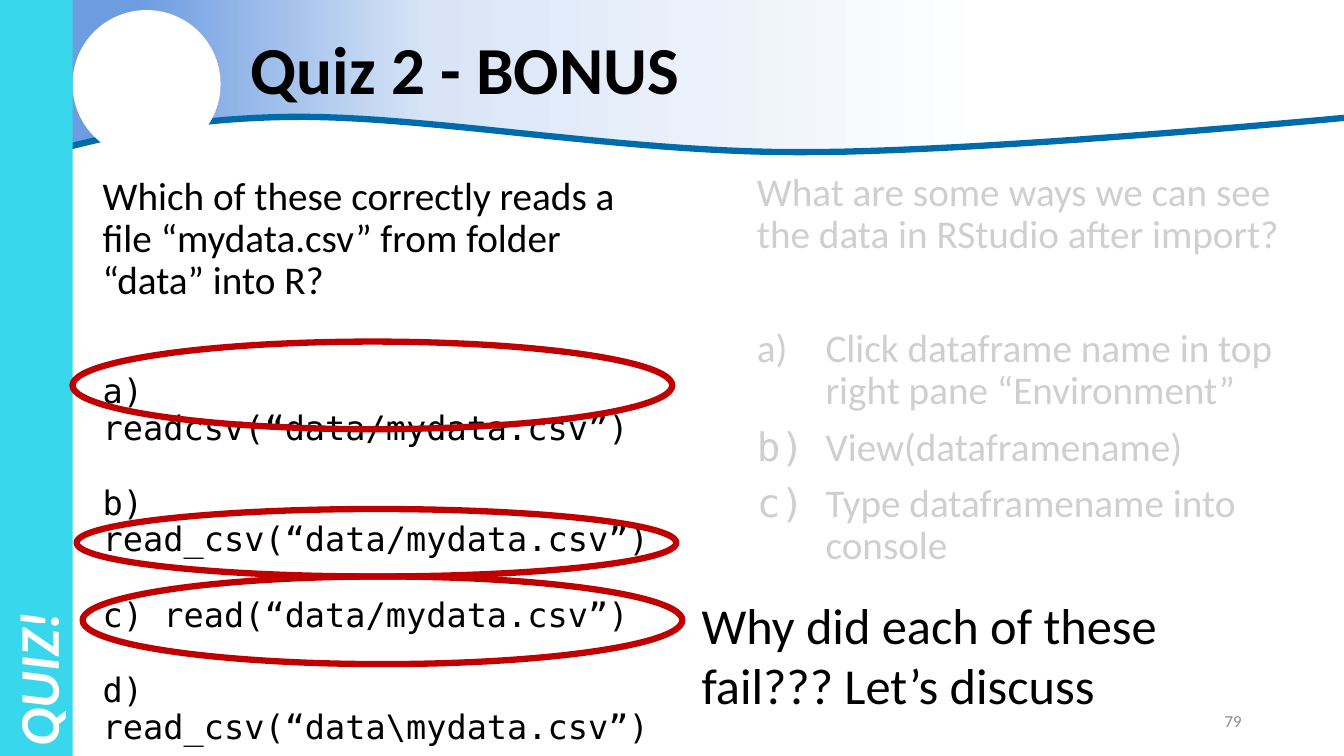
"""Build the bonus quiz slide about reading a CSV file into R."""
from copy import deepcopy

from lxml.etree import SubElement
from pptx import Presentation
from pptx.dml.color import RGBColor
from pptx.enum.shapes import MSO_SHAPE as Shape
from pptx.enum.text import MSO_ANCHOR as Anchor, MSO_AUTO_SIZE as AutoSize, PP_ALIGN as Align
from pptx.oxml.ns import qn
from pptx.util import Pt

BLACK = RGBColor(0x00, 0x00, 0x00)
WHITE = RGBColor(0xFF, 0xFF, 0xFF)
GRAY = RGBColor(0x8C, 0x8C, 0x8C)
CYAN = RGBColor(0x38, 0xD7, 0xEC)
RED = RGBColor(0xC0, 0x00, 0x00)
WAVE_BLUE = RGBColor(0x00, 0x6B, 0xAB)
SKY = RGBColor(0x6D, 0x9C, 0xE1)
PALE_SKY = RGBColor(0xD9, 0xE5, 0xF7)

WIDTH, HEIGHT = 960, 540
SANS, MONO = "Calibri", "DejaVu Sans Mono"
BLANK_LINE_GAP = 51
HANGING = 49

QUESTION = "Which of these correctly reads a file “mydata.csv” from folder “data” into R?"
CALLS = [
    "a) readcsv(“data/mydata.csv”)",
    "b) read_csv(“data/mydata.csv”)",
    "c) read(“data/mydata.csv”)",
    "d) read_csv(“data\\mydata.csv”)",
]
VIEW_QUESTION = "What are some ways we can see the data in RStudio after import?"
VIEW_ANSWERS = [
    ("a)", "Click dataframe name in top right pane “Environment”", SANS),
    ("b)", "View(dataframename)", MONO),
    ("c)", "Type dataframename into console", MONO),
]
CREST_CURVES = [
    [(0, 118), (54, 103.7), (111.6, 85), (206.6, 83.5)],
    [(206.6, 83.5), (301.7, 82.1), (442.8, 108.7), (568.8, 108.7)],
    [(568.8, 108.7), (694, 109.4), (960, 84.2), (960, 84.2)],
]
CIRCLED = [(51.8, 244, 62.6), (54.7, 363.6, 48.2), (59, 411.8, 62.6)]


def add_span(para, text, *, size=28, font=SANS, color=BLACK, bold=False, italic=False):
    """Add a formatted run of text to a paragraph."""
    span = para.add_run()
    span.text = text
    span.font.size, span.font.name = Pt(size), font
    span.font.bold, span.font.italic = bold, italic
    span.font.color.rgb = color


def curve_points(curves, steps=24):
    """Return points along a chain of cubic curves."""
    points = [curves[0][0]]
    for curve in curves:
        for step in range(1, steps + 1):
            t = step / steps
            weights = ((1 - t) ** 3, 3 * t * (1 - t) ** 2, 3 * t * t * (1 - t), t ** 3)
            points.append(tuple(sum(w * p[axis] for w, p in zip(weights, curve)) for axis in (0, 1)))
    return points


class QuizPage:
    """Hold the current slide and draw its elements in the quiz style."""

    def __init__(self, deck):
        """Add a slide with a title and two lists."""
        self.page = deck.slides.add_slide(deck.slide_layouts[3])
        self.shapes = self.page.shapes

    def outline(self, points, closed):
        """Draw a freeform through the points."""
        start, *rest = [(Pt(x), Pt(y)) for x, y in points]
        builder = self.shapes.build_freeform(*start, scale=1.0)
        builder.add_line_segments(rest, close=closed)
        shape = builder.convert_to_shape()
        shape.shadow.inherit = False
        return shape

    def banner(self):
        """Draw the gradient header and its wavy edge."""
        crest = curve_points(CREST_CURVES)
        header = self.outline([(WIDTH, 0), (0, 0)] + crest, True)
        header.line.fill.background()
        header.fill.gradient()
        header.fill.gradient_angle = 0
        stop_list = header._element.spPr.find(".//" + qn("a:gsLst"))
        stop_list.insert(1, deepcopy(stop_list[0]))
        stops = ((0.1, SKY), (0.32, PALE_SKY), (0.74, WHITE))
        for stop, (position, color) in zip(header.fill.gradient_stops, stops):
            stop.position, stop.color.rgb = position, color
        edge = self.outline(crest, False)
        edge.fill.background()
        edge.line.color.rgb, edge.line.width = WAVE_BLUE, Pt(4.5)

    def shape(self, kind, left, top, width, height, fill=None, line=None, opacity=None):
        """Draw a preset shape."""
        shape = self.shapes.add_shape(kind, Pt(left), Pt(top), Pt(width), Pt(height))
        shape.shadow.inherit = False
        if fill is None:
            shape.fill.background()
        else:
            shape.fill.solid()
            shape.fill.fore_color.rgb = fill
        if line is None:
            shape.line.fill.background()
        else:
            shape.line.color.rgb, shape.line.width = line, Pt(4.5)
        if opacity is not None:
            color = shape._element.spPr.find(qn("a:solidFill"))[0]
            SubElement(color, qn("a:alpha")).set("val", str(opacity * 1000))
        return shape

    def placeholder(self, index, left, top, width, height, anchor=Anchor.TOP):
        """Move a placeholder to the front and return its text frame."""
        box = self.page.placeholders[index]
        box.left, box.top, box.width, box.height = Pt(left), Pt(top), Pt(width), Pt(height)
        self.shapes._spTree.append(box._element)
        frame = box.text_frame
        frame.auto_size, frame.word_wrap, frame.vertical_anchor = AutoSize.NONE, True, anchor
        return frame

    def textbox(self, text, left, top, width, height, align=Align.LEFT, anchor=Anchor.TOP, **style):
        """Add a wrapped text box."""
        frame = self.shapes.add_textbox(Pt(left), Pt(top), Pt(width), Pt(height)).text_frame
        frame.word_wrap, frame.vertical_anchor = True, anchor
        frame.paragraphs[0].alignment = align
        add_span(frame.paragraphs[0], text, **style)

    def paragraph(self, frame, before=0, after=0, hanging=0):
        """Start an unbulleted paragraph in a placeholder."""
        para = frame.paragraphs[0] if not frame.paragraphs[0].runs else frame.add_paragraph()
        properties = para._p.get_or_add_pPr()
        properties.set("marL", str(Pt(hanging)))
        properties.set("indent", str(-Pt(hanging)))
        SubElement(properties, qn("a:buNone"))
        para.alignment, para.line_spacing = Align.LEFT, 0.9
        para.space_before, para.space_after = Pt(before), Pt(after)
        return para


def main():
    """Build and save the deck."""
    deck = Presentation()
    deck.slide_width, deck.slide_height = Pt(WIDTH), Pt(HEIGHT)
    quiz = QuizPage(deck)
    quiz.banner()
    quiz.shape(Shape.OVAL, 51.8, 7.2, 105.8, 105.8, fill=WHITE)

    title = quiz.placeholder(0, 172, 0, 788, 104.4, Anchor.MIDDLE)
    add_span(quiz.paragraph(title), "Quiz 2 - BONUS", size=48, bold=True)

    calls = quiz.placeholder(1, 66.2, 122.4, 414, 363.6)
    add_span(quiz.paragraph(calls), QUESTION)
    for number, call in enumerate(CALLS):
        para = quiz.paragraph(calls, before=10 if number else BLANK_LINE_GAP, after=18)
        add_span(para, call, size=24, font=MONO)

    side = quiz.shape(Shape.RECTANGLE, -244, 244, HEIGHT, 52, fill=CYAN)
    side.rotation = 270
    side.text_frame.vertical_anchor = Anchor.MIDDLE
    label = side.text_frame.paragraphs[0]
    label.alignment = Align.LEFT
    add_span(label, "QUIZ!", size=40, color=WHITE, bold=True, italic=True)

    quiz.textbox("79", 678, 500.4, 216, 28.8, Align.RIGHT, Anchor.MIDDLE, size=12, color=GRAY)

    views = quiz.placeholder(2, 533.5, 119.5, 396, 363.6)
    add_span(quiz.paragraph(views), VIEW_QUESTION)
    for number, (letter, answer, font) in enumerate(VIEW_ANSWERS):
        para = quiz.paragraph(views, before=10 if number else BLANK_LINE_GAP, hanging=HANGING)
        add_span(para, letter, font=font)
        add_span(para, "\t" + answer)

    quiz.shape(Shape.RECTANGLE, 522.7, 122.4, 414, 308.2, fill=WHITE, opacity=81)
    for left, top, height in CIRCLED:
        quiz.shape(Shape.OVAL, left, top, 428.4, height, line=RED)
    quiz.textbox("Why did each of these fail??? Let’s discuss", 494, 420.5, 361.4, 94.3, size=36)
    deck.save("out.pptx")


if __name__ == "__main__":
    main()
